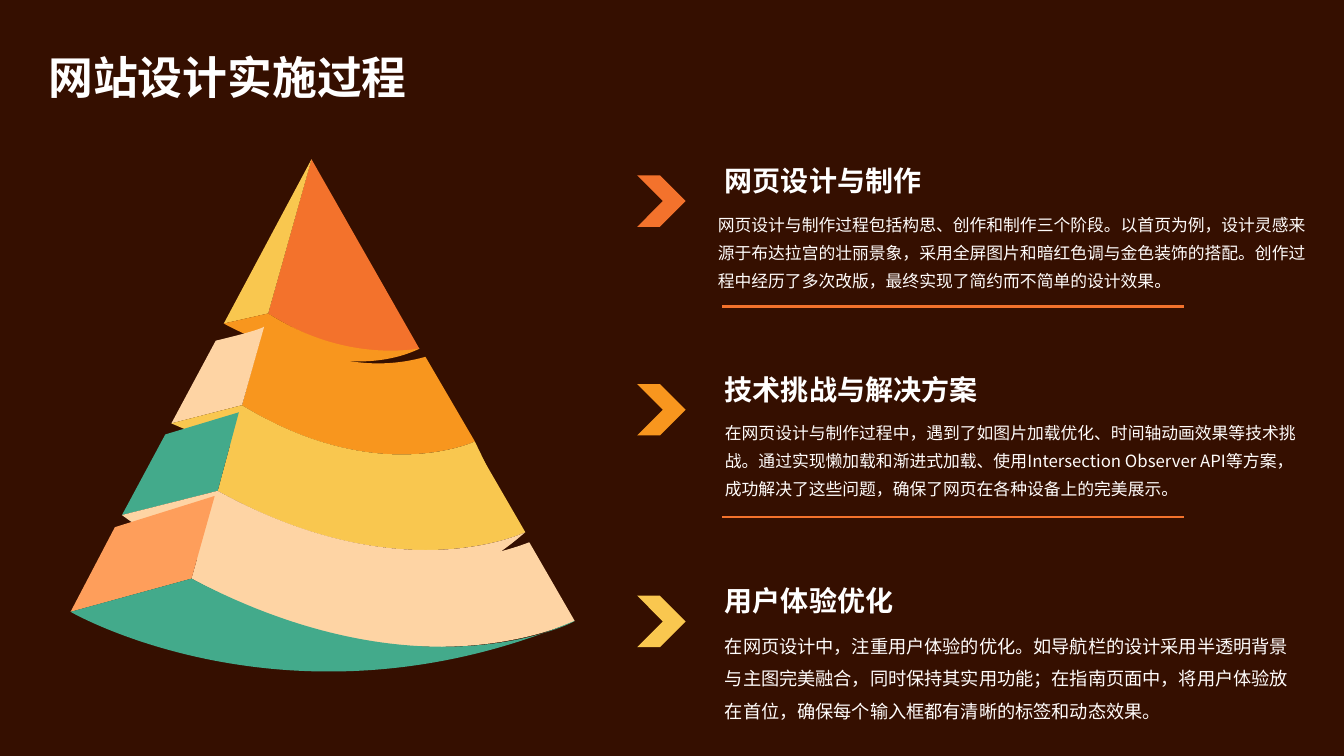
from lxml import etree
from pptx import Presentation
from pptx.dml.color import RGBColor
from pptx.enum.shapes import MSO_CONNECTOR, MSO_SHAPE
from pptx.enum.text import MSO_ANCHOR
from pptx.oxml.ns import qn
from pptx.util import Inches, Pt

STRAIGHT = MSO_CONNECTOR.STRAIGHT
CHEVRON = MSO_SHAPE.CHEVRON
TOP, MIDDLE = MSO_ANCHOR.TOP, MSO_ANCHOR.MIDDLE

FONT = "Noto Sans CJK SC"
BROWN, WHITE, CREAM = "350F00", "FFFFFF", "FFFCFB"
RED, ORANGE, YELLOW = "F3722C", "F8961E", "F9C74F"
PEACH, CORAL, GREEN = "FED4A4", "FE9E5B", "43AA8B"
CURVE_STEPS = 24

# Outlines in inches from the pyramid's corner: a pair is a line end,
# six numbers are two control points and a curve end.
PYRAMID_LAYERS = [
    # Tip: front, side, underside
    [(RED, [(2.39, 0), (1.96, 1.53), (2.49, 1.86, 2.99, 2, 3.46, 1.88)]),
     (YELLOW, [(1.52, 1.63), (1.96, 1.53), (2.39, 0)]),
     (ORANGE, [(1.52, 1.63), (1.52, 1.63, 2.64, 2.27, 3.46, 1.88),
               (3.46, 1.87, 2.75, 2.04, 1.96, 1.53)])],
    # Second layer
    [(ORANGE, [(1.92, 1.66), (1.92, 1.66, 2.64, 2.21, 3.52, 1.96), (4.01, 2.8),
               (4.01, 2.8, 3.03, 3.26, 1.7, 2.44),
               (1.7, 2.44, 1.86, 1.85, 1.92, 1.66)]),
     (PEACH, [(1.44, 1.8), (1.44, 1.8, 1.87, 1.7, 1.92, 1.66),
              (1.7, 2.44), (1, 2.62)]),
     (YELLOW, [(1, 2.62), (1, 2.62, 3.13, 3.58, 4.17, 3.13), (4.01, 2.8),
               (4.01, 2.8, 3.04, 3.26, 1.7, 2.44)])],
    # Third layer
    [(YELLOW, [(1.67, 2.51), (1.67, 2.51, 2.86, 3.33, 4.03, 2.87), (4.51, 3.7),
               (4.51, 3.7, 3.27, 4.3, 1.46, 3.29)]),
     (GREEN, [(0.94, 2.73), (1.67, 2.51), (1.46, 3.29), (0.51, 3.53)]),
     (PEACH, [(0.51, 3.53), (0.51, 3.53, 2.74, 5.26, 4.51, 3.7),
              (4.51, 3.7, 3.29, 4.3, 1.46, 3.29)])],
    # Base layer
    [(PEACH, [(1.43, 3.34), (1.43, 3.34, 3.03, 4.38, 4.55, 3.8), (5, 4.58),
              (5, 4.58, 3.41, 5.38, 1.2, 4.16)]),
     (CORAL, [(1.43, 3.34), (1.2, 4.16), (0, 4.49), (0.44, 3.65)]),
     (GREEN, [(5, 4.58), (5.08, 4.55, 3.55, 5.4, 1.2, 4.16), (0, 4.49),
              (0, 4.49, 2.19, 5.76, 5, 4.58)])],
]

# Top, heading, arrow colour, rule offset, body offset and width, body format, body
STAGES = [
    (1.58, "网页设计与制作", RED, 1.46, (-0.07, 0.43, 5.94), dict(size=12, spacing=1.4),
     "网页设计与制作过程包括构思、创作和制作三个阶段。以首页为例，设计灵感来源于布达拉宫的壮丽景象，"
     "采用全屏图片和暗红色调与金色装饰的搭配。创作过程中经历了多次改版，最终实现了简约而不简单的设计效果。"),
    (3.65, "技术挑战与解决方案", ORANGE, 1.48, (0, 0.42, 5.8), dict(size=12, spacing=1.4),
     "在网页设计与制作过程中，遇到了如图片加载优化、时间轴动画效果等技术挑战。通过实现懒加载和渐进式加载、"
     "使用Intersection Observer API等方案，成功解决了这些问题，确保了网页在各种设备上的完美展示。"),
    (5.75, "用户体验优化", YELLOW, None, (0, 0.4, 5.8), dict(size=13, spacing=1.5),
     "在网页设计中，注重用户体验的优化。如导航栏的设计采用半透明背景与主图完美融合，同时保持其实用功能；"
     "在指南页面中，将用户体验放在首位，确保每个输入框都有清晰的标签和动态效果。"),
]


def rgb(value):
    return RGBColor.from_string(value)


def paint(shape, color):
    shape.shadow.inherit = False
    shape.fill.solid()
    shape.fill.fore_color.rgb = rgb(color)
    shape.line.fill.background()


def add_text(slide, box, text, size=12, color=WHITE, bold=False, spacing=1.0,
             anchor=TOP, inset=(0.04, 0.04)):
    frame = slide.shapes.add_textbox(*map(Inches, box)).text_frame
    frame.word_wrap = True
    frame.vertical_anchor = anchor
    frame.margin_left = frame.margin_right = Inches(inset[0])
    frame.margin_top = frame.margin_bottom = Inches(inset[1])
    paragraph = frame.paragraphs[0]
    paragraph.line_spacing = spacing
    run = paragraph.add_run()
    run.text = text
    run.font.size, run.font.bold, run.font.name = Pt(size), bold, FONT
    run.font.color.rgb = rgb(color)
    # Chinese characters take the East Asian typeface
    etree.SubElement(run.font._element, qn("a:ea"), typeface=FONT)


def trace(outline):
    """List points along the outline, which give its extent."""
    points = [outline[0]]
    for step in outline[1:]:
        if len(step) == 2:
            points.append(step)
            continue
        controls = [points[-1], step[:2], step[2:4], step[4:]]
        for i in range(1, CURVE_STEPS + 1):
            t = i / CURVE_STEPS
            weights = ((1 - t) ** 3, 3 * t * (1 - t) ** 2, 3 * t * t * (1 - t), t ** 3)
            points.append(tuple(sum(w * c[axis] for w, c in zip(weights, controls))
                                for axis in (0, 1)))
    return points


def add_face(pyramid, left, top, color, outline):
    points = [(Inches(left + x), Inches(top + y)) for x, y in trace(outline)]
    builder = pyramid.shapes.build_freeform(*points[0])
    builder.add_line_segments(points[1:], close=True)
    face = builder.convert_to_shape()
    # Within that extent, draw true lines and curves
    route = next(face._element.iter(qn("a:path")))
    for command in list(route):
        route.remove(command)
    for i, step in enumerate(outline):
        tag = "a:moveTo" if i == 0 else "a:lnTo" if len(step) == 2 else "a:cubicBezTo"
        command = etree.SubElement(route, qn(tag))
        for x, y in zip(step[::2], step[1::2]):
            etree.SubElement(command, qn("a:pt"), x=str(Inches(left + x) - face.left),
                             y=str(Inches(top + y) - face.top))
    etree.SubElement(route, qn("a:close"))
    paint(face, color)


def add_pyramid(slide, left, top):
    pyramid = slide.shapes.add_group_shape()
    for layer in PYRAMID_LAYERS:
        for color, outline in layer:
            add_face(pyramid, left, top, color, outline)


def add_stage(slide, left, stage):
    top, heading, color, rule_y, (body_x, body_y, body_width), body_format, body = stage
    # Arrow
    arrow = slide.shapes.add_shape(CHEVRON, Inches(left - 0.83), Inches(top + 0.16),
                                   Inches(0.48), Inches(0.51))
    arrow.adjustments[0] = 0.53
    paint(arrow, color)
    # Heading and body
    add_text(slide, (left, top, 4.14, 0.42), heading, size=20, bold=True, anchor=MIDDLE)
    add_text(slide, (left + body_x, top + body_y, body_width, 1), body,
             color=CREAM, **body_format)
    # Rule below
    if rule_y:
        y = Inches(top + rule_y)
        rule = slide.shapes.add_connector(STRAIGHT, Inches(left + 0.01), y,
                                          Inches(left + 4.59), y)
        rule.line.color.rgb = rgb(RED)
        rule.line.width = Pt(1.88)
        etree.SubElement(rule._element.spPr, qn("a:effectLst"))


def main():
    deck = Presentation()
    deck.slide_width, deck.slide_height = Inches(13.33), Inches(7.5)
    slide = deck.slides.add_slide(deck.slide_layouts[6])
    slide.background.fill.solid()
    slide.background.fill.fore_color.rgb = rgb(BROWN)
    add_text(slide, (0.38, 0.31, 12.57, 0.79), "网站设计实施过程", size=32, bold=True,
             spacing=1.2, anchor=MIDDLE, inset=(0.1, 0.05))
    add_pyramid(slide, 0.7, 1.58)
    for stage in STAGES:
        add_stage(slide, 7.15, stage)
    deck.save("out.pptx")


if __name__ == "__main__":
    main()
